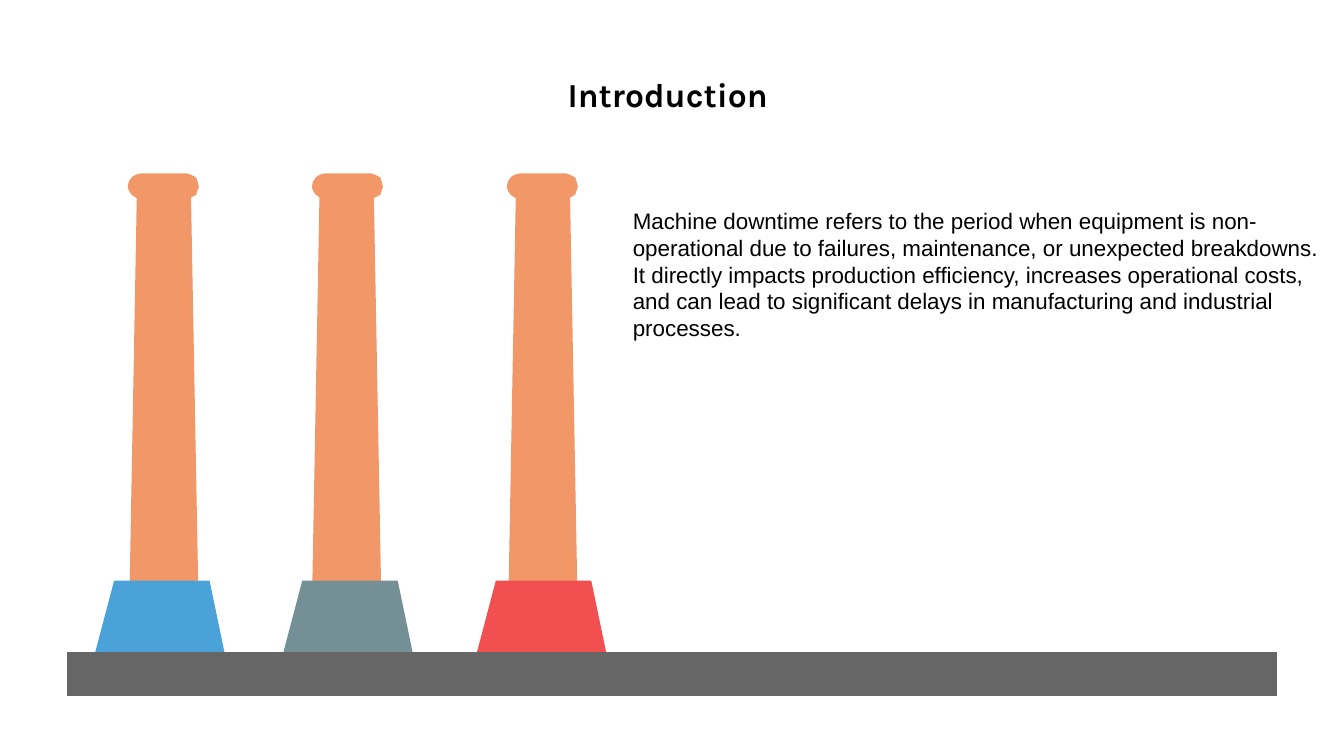
from pptx import Presentation
from pptx.dml.color import RGBColor
from pptx.enum.text import PP_ALIGN as Align
from pptx.util import Inches, Pt

BLACK = "000000"
BRICK = "F29868"
FLOOR_GREY = "666666"

SLIDE_WIDTH = 10
SLIDE_HEIGHT = SLIDE_WIDTH * 9 / 16

COLLAR = [(0.1, 0), (0.06, 0.01), (0.03, 0.03), (0.01, 0.06), (0, 0.1),
          (0.01, 0.13), (0.03, 0.16), (0.06, 0.18), (0.1, 0.2),
          (0.44, 0.2), (0.47, 0.18), (0.51, 0.16), (0.52, 0.13),
          (0.53, 0.1), (0.52, 0.06), (0.51, 0.03), (0.47, 0.01), (0.44, 0)]
STACK = [(0.07, 0), (0, 3.79), (0.54, 3.79), (0.47, 0)]
BASE = [(0.14, 0), (0, 0.53), (0.96, 0.53), (0.85, 0)]
FLOOR = [(0, 0), (0, 0.33), (9, 0.33), (9, 0)]

COLLAR_TOP = 1.29
BASE_TOP = 4.32
FLOOR_TOP = 4.85

CHIMNEYS = [
    (0.95, 1.38, 0.95, 0.71, "4AA2D9"),
    (2.31, 1.34, 2.32, 2.11, "749096"),
    (3.77, 1.37, 3.77, 3.55, "F25050"),
]


def rgb(value):
    return RGBColor.from_string(value)


class SlideBuilder:
    def __init__(self, slide):
        self.slide = slide

    def outline(self, shapes, left, top, offsets, color):
        points = [(Inches(left + dx), Inches(top + dy)) for dx, dy in offsets]
        builder = shapes.build_freeform(*points[0])
        builder.add_line_segments(points[1:], close=True)
        shape = builder.convert_to_shape()
        shape.shadow.inherit = False
        shape.fill.solid()
        shape.fill.fore_color.rgb = rgb(color)
        shape.line.fill.background()

    def chimney(self, stack_left, stack_top, collar_left, base_left, base_color):
        parts = self.slide.shapes.add_group_shape().shapes
        self.outline(parts, stack_left, stack_top, STACK, BRICK)
        self.outline(parts, collar_left, COLLAR_TOP, COLLAR, BRICK)
        self.outline(parts, base_left, BASE_TOP, BASE, base_color)

    def floor(self):
        self.outline(self.slide.shapes, 0.5, FLOOR_TOP, FLOOR, FLOOR_GREY)

    def text(self, words, left, top, width, height, font, size,
             bold=False, align=Align.LEFT, inset=0.05):
        box = self.slide.shapes.add_textbox(
            Inches(left), Inches(top), Inches(width), Inches(height))
        frame = box.text_frame
        frame.word_wrap = True
        frame.margin_top = frame.margin_bottom = Inches(inset)
        paragraph = frame.paragraphs[0]
        paragraph.text = words
        paragraph.alignment = align
        paragraph.font.name = font
        paragraph.font.size = Pt(size)
        paragraph.font.bold = bold
        paragraph.font.color.rgb = rgb(BLACK)


def main():
    deck = Presentation()
    deck.slide_width = Inches(SLIDE_WIDTH)
    deck.slide_height = Inches(SLIDE_HEIGHT)
    page = SlideBuilder(deck.slides.add_slide(deck.slide_layouts[6]))

    page.text("Introduction ", 0.5, 0.45, 9, 0.53, "Karla", 18,
              bold=True, align=Align.CENTER, inset=0.1)
    for chimney in CHIMNEYS:
        page.chimney(*chimney)
    page.floor()
    page.text(
        "Machine downtime refers to the period when equipment is "
        "non-operational due to failures, maintenance, or unexpected "
        "breakdowns. It directly impacts production efficiency, increases "
        "operational costs, and can lead to significant delays in "
        "manufacturing and industrial processes.",
        4.61, 1.49, 5.31, 1.11, "Arial", 12)

    deck.save("out.pptx")


if __name__ == "__main__":
    main()
